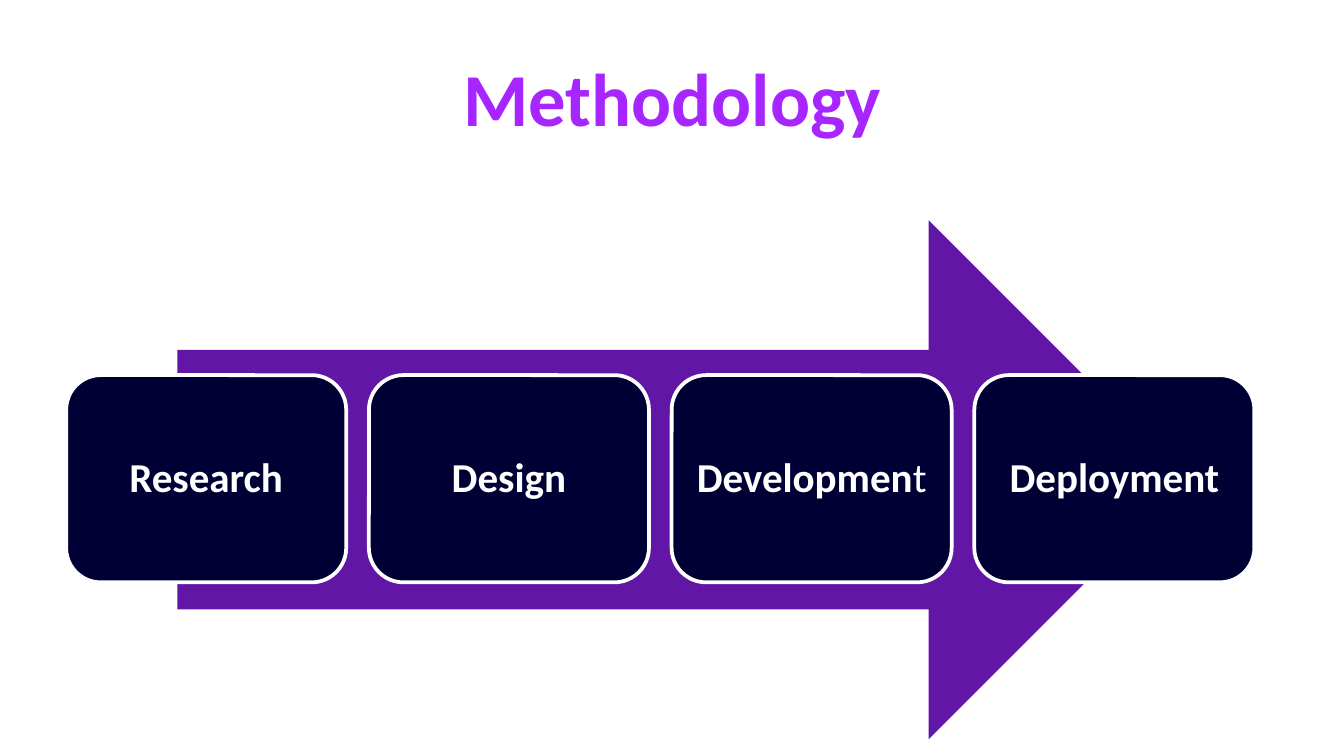
from pptx import Presentation
from pptx.dml.color import RGBColor
from pptx.enum.shapes import MSO_SHAPE
from pptx.enum.text import MSO_ANCHOR, PP_ALIGN
from pptx.util import Emu, Pt

PX = 6350
FONT = "Calibri"
WHITE = "FFFFFF"
NAVY = "000035"
PURPLE = "6216A5"
VIOLET = "A725FF"

STEPS = [
    [("Research", True)],
    [("Design", True)],
    [("Developmen", True), ("t", False)],
    [("Deployment", True)],
]


def px(value):
    return Emu(round(value * PX))


def color(value):
    return RGBColor.from_string(value)


def write(shape, spans, size, tint, spacing):
    frame = shape.text_frame
    frame.word_wrap = True
    frame.vertical_anchor = MSO_ANCHOR.MIDDLE
    para = frame.paragraphs[0]
    para.alignment = PP_ALIGN.CENTER
    para.line_spacing = spacing
    for text, bold in spans:
        span = para.add_run()
        span.text = text
        span.font.name = FONT
        span.font.size = Pt(size)
        span.font.bold = bold
        span.font.color.rgb = color(tint)


def add_block(page, kind, box, fill):
    shape = page.shapes.add_shape(kind, *map(px, box))
    shape.shadow.inherit = False
    shape.fill.solid()
    shape.fill.fore_color.rgb = color(fill)
    shape.line.fill.background()
    return shape


def add_title(page, box):
    title = page.shapes.title
    title.left, title.top, title.width, title.height = map(px, box)
    write(title, [("Methodology", True)], 40, VIOLET, 1.0)


def add_process(page, box):
    left, top, width, height = box
    arrow_box = (left + 119, top, 1083, height)
    add_block(page, MSO_SHAPE.RIGHT_ARROW, arrow_box, PURPLE)

    card_width, card_height = 300, 222
    card_top = top + 166
    pitch = (width - card_width) / (len(STEPS) - 1)
    for index, spans in enumerate(STEPS):
        card_box = (left + index * pitch, card_top, card_width, card_height)
        card = add_block(page, MSO_SHAPE.ROUNDED_RECTANGLE, card_box, NAVY)
        card.line.color.rgb = color(WHITE)
        card.line.width = Pt(2)
        frame = card.text_frame
        frame.margin_left = frame.margin_right = px(13)
        frame.margin_top = frame.margin_bottom = px(13)
        write(card, spans, 22, WHITE, 0.9)


def main():
    deck = Presentation()
    deck.slide_width = px(1440)
    deck.slide_height = px(810)
    page = deck.slides.add_slide(deck.slide_layouts[5])
    add_title(page, (71, 45, 1299, 117))
    add_process(page, (71, 236, 1273, 556))
    deck.save("out.pptx")


if __name__ == "__main__":
    main()
